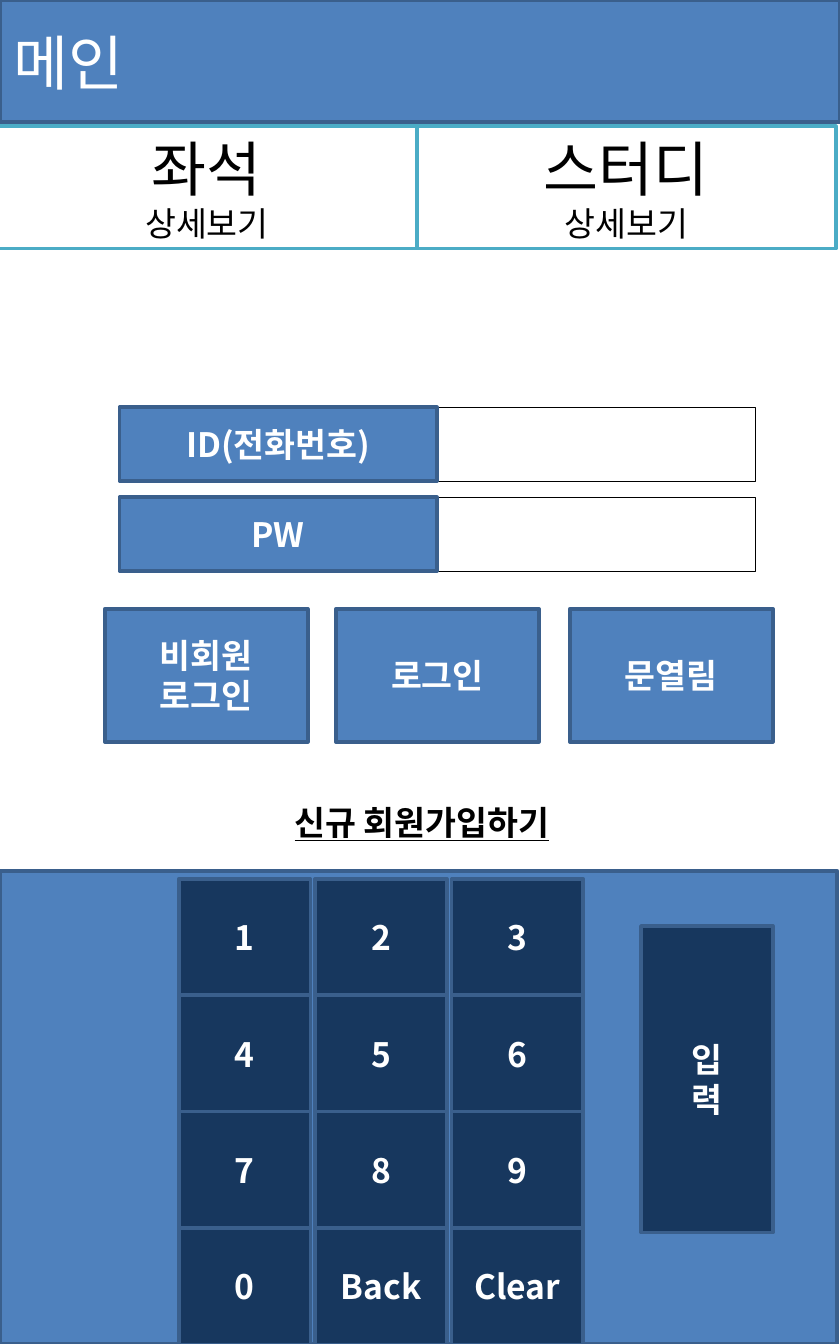
from lxml.etree import SubElement
from pptx import Presentation
from pptx.dml.color import RGBColor
from pptx.enum.shapes import MSO_SHAPE
from pptx.enum.text import MSO_ANCHOR, PP_ALIGN
from pptx.oxml.ns import qn
from pptx.util import Inches, Pt

FONT = "Noto Sans CJK KR"
COLORS = {
    "blue": "4F81BD",
    "edge": "3A5F8C",
    "navy": "17375E",
    "teal": "4BACC6",
    "white": "FFFFFF",
    "black": "000000",
}


def write_text(box, text, sizes=(18,), color="white", bold=True, underline=None, align=PP_ALIGN.CENTER):
    frame = box.text_frame
    frame.word_wrap = True
    frame.vertical_anchor = MSO_ANCHOR.MIDDLE
    for index, line in enumerate(text.split("\n")):
        para = frame.paragraphs[0] if index == 0 else frame.add_paragraph()
        para.alignment = align
        span = para.add_run()
        span.text = line
        span.font.name = FONT
        span.font.size = Pt(sizes[min(index, len(sizes) - 1)])
        span.font.bold = bold
        span.font.underline = underline
        span.font.color.rgb = RGBColor.from_string(COLORS[color])
        SubElement(span.font._element, qn("a:ea"), typeface=FONT)


def add_box(left, top, width, height, fill="blue", line="edge", weight=2):
    box = page.shapes.add_shape(
        MSO_SHAPE.RECTANGLE, Inches(left), Inches(top), Inches(width), Inches(height)
    )
    box.shadow.inherit = False
    box.fill.solid()
    box.fill.fore_color.rgb = RGBColor.from_string(COLORS[fill])
    box.line.color.rgb = RGBColor.from_string(COLORS[line])
    box.line.width = Pt(weight)
    return box


deck = Presentation()
deck.slide_width = Inches(6.25)
deck.slide_height = Inches(10)
page = deck.slides.add_slide(deck.slide_layouts[6])

header = add_box(0, 0, 6.25, 0.91)
write_text(header, "메인", sizes=(32,), bold=False, align=PP_ALIGN.LEFT)

for column, name in enumerate(["좌석", "스터디"]):
    tab = add_box(-0.02 + column * 3.12, 0.94, 3.12, 0.91, fill="white", line="teal")
    write_text(tab, name + "\n상세보기", sizes=(32, 18), color="black", bold=False)

for row, name in enumerate(["ID(전화번호)", "PW"]):
    top = 3.03 + row * 0.67
    add_box(3.26, top, 2.36, 0.55, fill="white", line="black", weight=0.25)
    label = add_box(0.89, top, 2.36, 0.55)
    write_text(label, name)

for left, name in [(0.78, "비회원\n로그인"), (2.5, "로그인"), (4.24, "문열림")]:
    button = add_box(left, 4.53, 1.51, 0.99)
    write_text(button, name)

signup = page.shapes.add_textbox(Inches(1.62), Inches(5.87), Inches(3.04), Inches(0.49))
write_text(signup, "신규 회원가입하기", color="black", underline=True)

add_box(0, 6.48, 6.23, 3.52)
enter_key = add_box(4.77, 6.89, 0.98, 2.28, fill="navy")
write_text(enter_key, "입\n력")

keys = ["1", "2", "3", "4", "5", "6", "7", "8", "9", "0", "Back", "Clear"]
for index, name in enumerate(keys):
    row, column = divmod(index, 3)
    key = add_box(1.33 + column * 1.015, 6.54 + row * 0.865, 0.98, 0.87, fill="navy")
    write_text(key, name)

deck.save("out.pptx")
